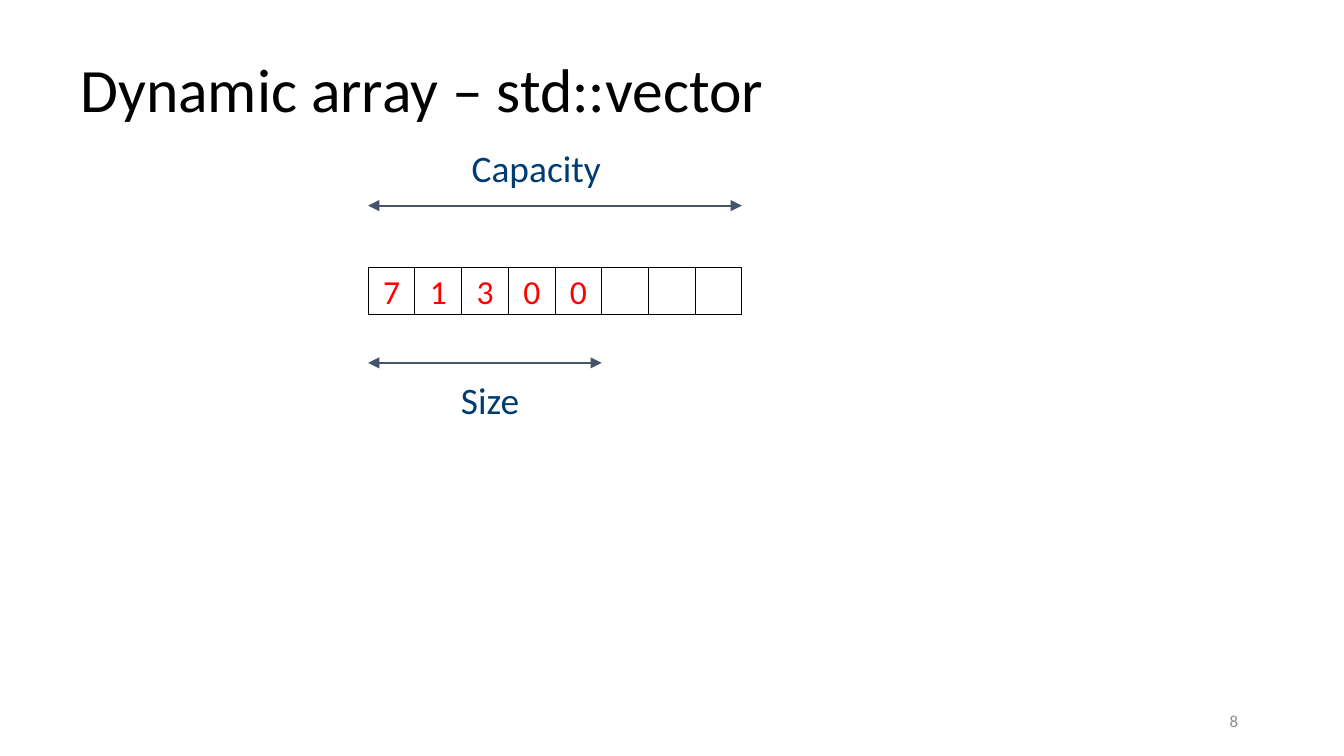
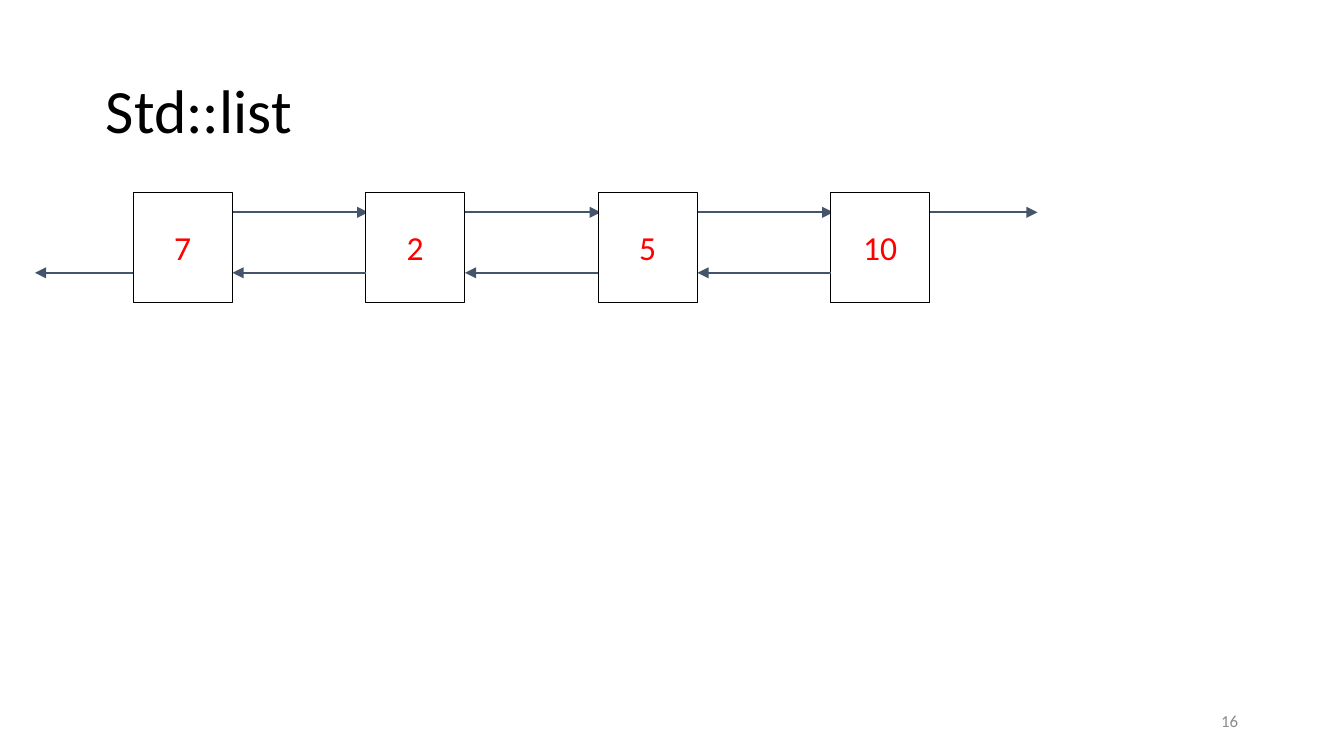
from lxml import etree
from pptx import Presentation
from pptx.dml.color import RGBColor
from pptx.enum.shapes import MSO_CONNECTOR, MSO_SHAPE
from pptx.enum.text import MSO_ANCHOR, PP_ALIGN
from pptx.oxml.ns import qn
from pptx.util import Inches, Pt

STRAIGHT = MSO_CONNECTOR.STRAIGHT
RECTANGLE = MSO_SHAPE.RECTANGLE
TOP, MIDDLE = MSO_ANCHOR.TOP, MSO_ANCHOR.MIDDLE
LEFT, CENTER, RIGHT = PP_ALIGN.LEFT, PP_ALIGN.CENTER, PP_ALIGN.RIGHT

FONT = "Calibri"
BLACK, WHITE, RED = "000000", "FFFFFF", "FF0000"
NAVY, SLATE, GRAY = "003C71", "44546A", "8C8C8C"


def color(hex_string):
    """Turn a hex string into a colour."""
    return RGBColor.from_string(hex_string)


def write(shape, text, size, ink, align=LEFT, anchor=MIDDLE, spacing=None, wrap=True):
    """Write one formatted paragraph into a shape."""
    frame = shape.text_frame
    frame.word_wrap = wrap
    frame.vertical_anchor = anchor
    paragraph = frame.paragraphs[0]
    paragraph.alignment = align
    paragraph.line_spacing = spacing
    run = paragraph.add_run()
    run.text = text
    run.font.name = FONT
    run.font.size = Pt(size)
    run.font.color.rgb = color(ink)


def add_text(slide, box, text, inset=True, **style):
    """Add a text box, with or without inner margins."""
    shape = slide.shapes.add_textbox(*map(Inches, box))
    if not inset:
        frame = shape.text_frame
        frame.margin_left = frame.margin_right = 0
        frame.margin_top = frame.margin_bottom = 0
    write(shape, text, **style)


def add_cell(slide, box, value):
    """Add an outlined box holding a red value."""
    shape = slide.shapes.add_shape(RECTANGLE, *map(Inches, box))
    shape.shadow.inherit = False
    shape.fill.solid()
    shape.fill.fore_color.rgb = color(WHITE)
    shape.line.color.rgb = color(BLACK)
    shape.line.width = Pt(0.5)
    if value:
        write(shape, value, size=18, ink=RED, align=CENTER)


def add_arrow(slide, start, end, y, both=False):
    """Add a horizontal arrow, pointing at its end or at both ends."""
    arrow = slide.shapes.add_connector(STRAIGHT, *map(Inches, (start, y, end, y)))
    arrow.line.color.rgb = color(SLATE)
    arrow.line.width = Pt(1)
    line = arrow.line._get_or_add_ln()
    for tag in ("a:headEnd", "a:tailEnd") if both else ("a:tailEnd",):
        etree.SubElement(line, qn(tag), type="triangle")
    etree.SubElement(arrow._element.spPr, qn("a:effectLst"))


def start_slide(presentation, number, title, title_box):
    """Add a blank slide with its page number and title."""
    slide = presentation.slides.add_slide(presentation.slide_layouts[6])
    add_text(slide, (7.06, 5.21, 2.25, 0.3), number, size=9, ink=GRAY, align=RIGHT)
    add_text(slide, title_box, title, size=33, ink=BLACK, spacing=0.9)
    return slide


def draw_vector(slide, box, values, capacity):
    """Draw a row of cells with its capacity and size measured."""
    left, top, width, height = box
    step = width / capacity
    for index in range(capacity):
        value = values[index] if index < len(values) else ""
        add_cell(slide, (left + index * step, top, step, height), value)
    add_arrow(slide, left, left + len(values) * step, top + 0.71, both=True)
    add_arrow(slide, left, left + width, top - 0.46, both=True)
    label = {"inset": False, "size": 20, "ink": NAVY, "anchor": TOP}
    add_text(slide, (left + 0.69, top + 0.82, 0.44, 0.34), "Size", wrap=False, **label)
    add_text(slide, (left + 0.77, top - 0.91, 1.24, 0.34), "Capacity", **label)


def draw_list(slide, box, values):
    """Draw evenly spaced nodes linked forwards and backwards."""
    left, top, width, height = box
    node = 0.74
    last = len(values) - 1
    step = (width - node) / last
    for index, value in enumerate(values):
        start = left + index * step
        end = start + node
        add_cell(slide, (start, top, node, height), value)
        next_end = end + 0.8 if index == last else start + step + 0.02
        previous_end = start - 0.73 if index == 0 else end - step
        add_arrow(slide, end, next_end, top + 0.15)
        add_arrow(slide, start, previous_end, top + 0.6)


def main():
    """Build both slides and save them."""
    presentation = Presentation()
    presentation.slide_width = Inches(10)
    presentation.slide_height = Inches(10) * 9 // 16

    slide = start_slide(presentation, "8", "Dynamic array – std::vector", (0.5, 0.34, 9, 0.69))
    draw_vector(slide, (2.74, 1.99, 2.78, 0.35), ["7", "1", "3", "0", "0"], capacity=8)

    slide = start_slide(presentation, "16", "Std::list", (0.69, 0.3, 8.62, 1.09))
    draw_list(slide, (0.99, 1.43, 5.93, 0.82), ["7", "2", "5", "10"])

    presentation.save("out.pptx")


if __name__ == "__main__":
    main()
